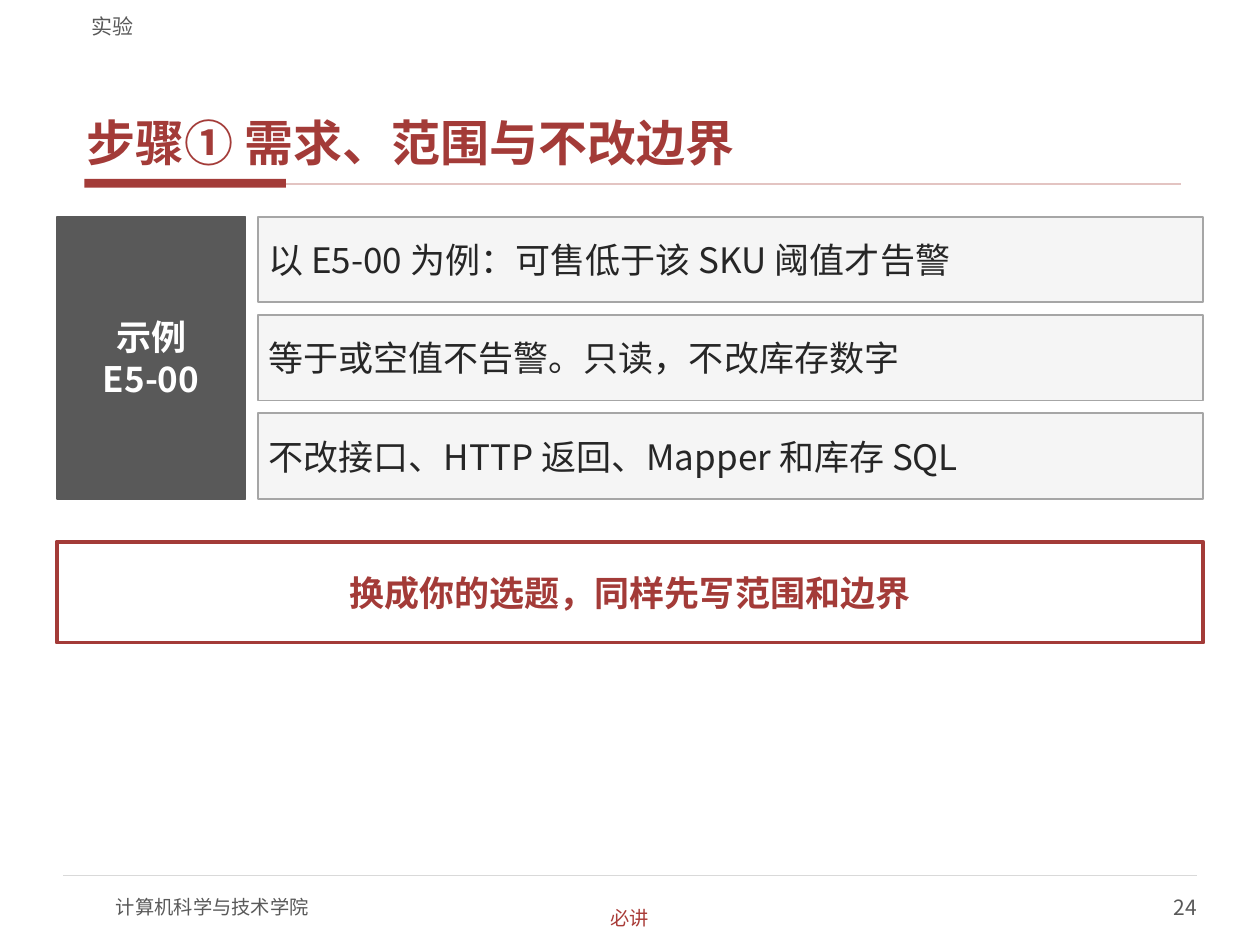
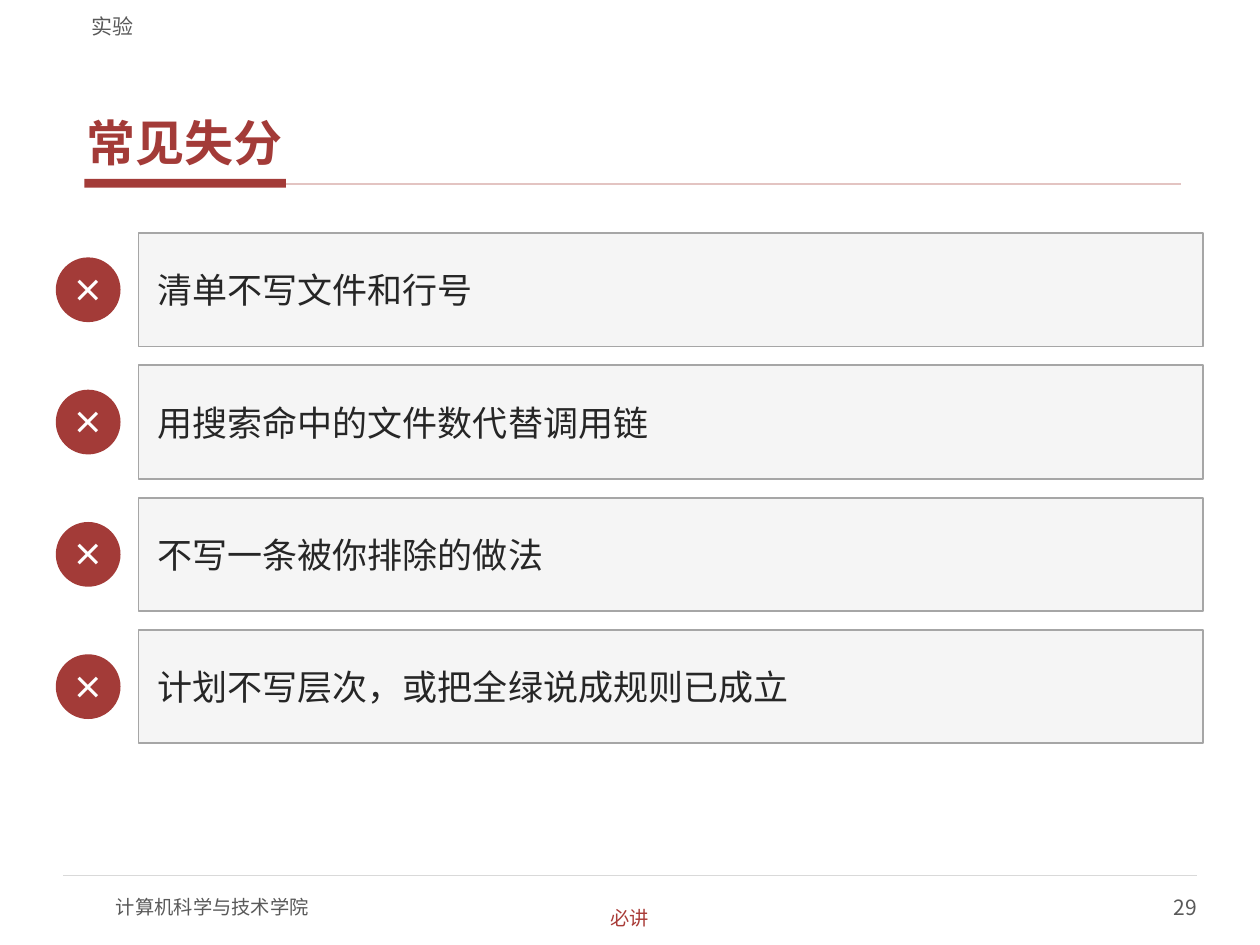
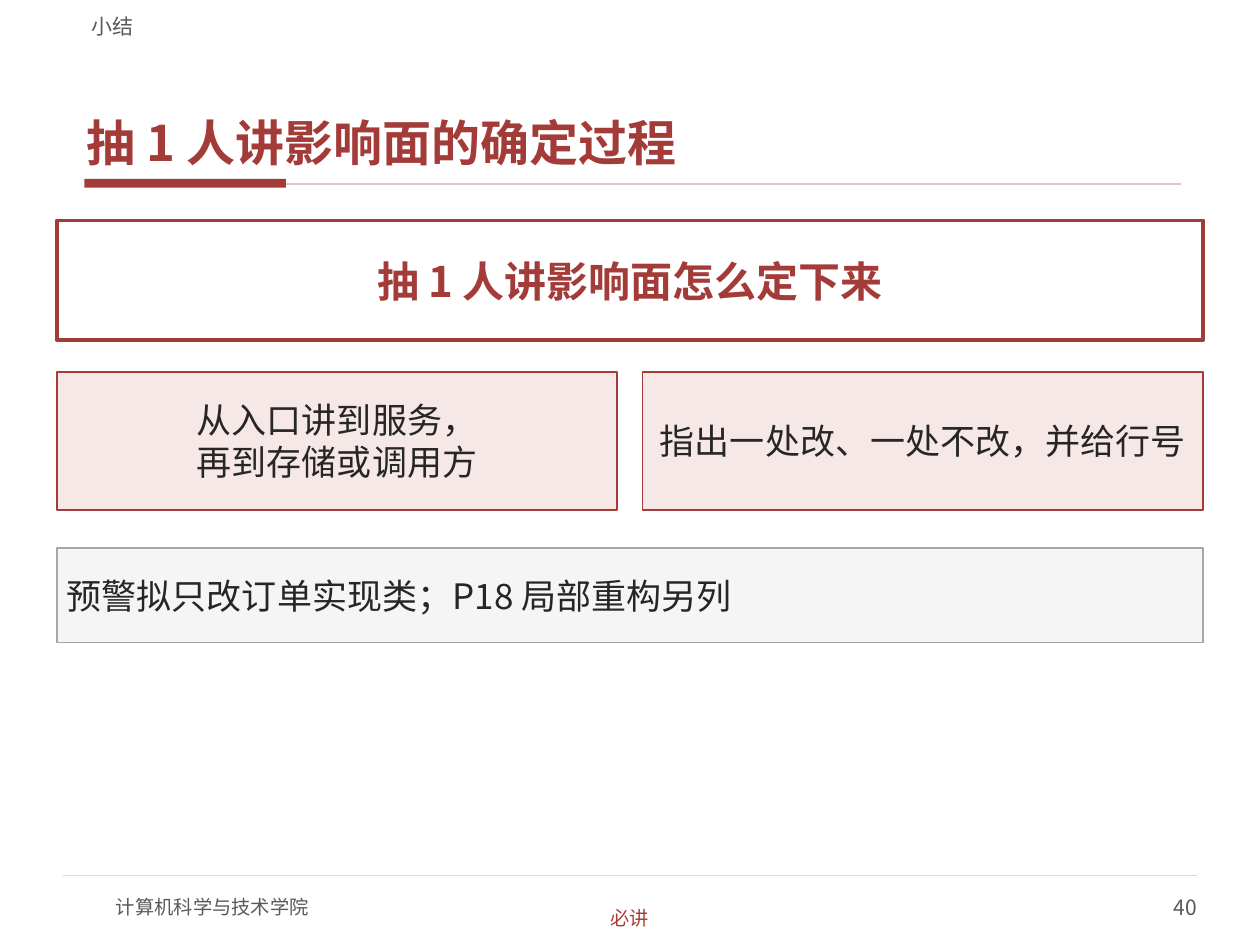
import pptx
import pptx.util
import pptx.dml.color
import pptx.enum.shapes
import pptx.enum.text
import pptx.oxml.ns
import lxml.etree

FONT = "Noto Sans CJK SC"
RED, ROSE, PINK = "A33B38", "E3C4C2", "F6E8E6"
TAG = "A93B37"
DARK, INK, GREY, PALE, RULE = "595959", "262626", "A6A6A6", "F5F5F5", "D9D9D9"
WHITE = "FFFFFF"
LEFT, WIDE = 0.45, 9.1
INSET = (0.08, 0.04)

Shape = pptx.enum.shapes.MSO_SHAPE
Align = pptx.enum.text.PP_ALIGN
Anchor = pptx.enum.text.MSO_ANCHOR
qn = pptx.oxml.ns.qn


def color(code):
    return pptx.dml.color.RGBColor.from_string(code)


def place(at):
    return [pptx.util.Inches(n) for n in at]


def write(shape, text, size, ink, bold=False, align=Align.LEFT,
          inset=(0, 0), anchor=Anchor.MIDDLE, wrap=True):
    frame = shape.text_frame
    frame.auto_size = pptx.enum.text.MSO_AUTO_SIZE.NONE
    frame.word_wrap = wrap
    frame.vertical_anchor = anchor
    frame.margin_left = frame.margin_right = pptx.util.Inches(inset[0])
    frame.margin_top = frame.margin_bottom = pptx.util.Inches(inset[1])
    para = frame.paragraphs[0]
    para.text = text
    para.alignment = align
    para.font.name = FONT
    para.font.size = pptx.util.Pt(size)
    para.font.bold = bold
    para.font.color.rgb = color(ink)
    props = para._p.pPr.find(qn("a:defRPr"))
    props.find(qn("a:latin")).addnext(
        props.makeelement(qn("a:ea"), {"typeface": FONT}))
    return para


def label(slide, at, text, size, ink, **style):
    write(slide.shapes.add_textbox(*place(at)), text, size, ink, **style)


def block(slide, at, fill, edge=None, weight=1, kind=Shape.RECTANGLE):
    shape = slide.shapes.add_shape(kind, *place(at))
    shape.shadow.inherit = False
    shape.fill.solid()
    shape.fill.fore_color.rgb = color(fill)
    if edge:
        shape.line.color.rgb = color(edge)
        shape.line.width = pptx.util.Pt(weight)
    else:
        shape.line.fill.background()
    return shape


def line(slide, left, right, top, ink, weight):
    rule = slide.shapes.add_connector(
        pptx.enum.shapes.MSO_CONNECTOR.STRAIGHT, *place((left, top, right, top)))
    rule.line.color.rgb = color(ink)
    rule.line.width = pptx.util.Pt(weight)
    lxml.etree.SubElement(rule._element.spPr, qn("a:effectLst"))


def card(slide, at, text, inset=INSET):
    write(block(slide, at, PALE, GREY), text, 20, INK, inset=inset)


def call(slide, top, high, text, size):
    write(block(slide, (LEFT, top, WIDE, high), WHITE, RED, 2.25), text, size, RED,
          bold=True, align=Align.CENTER, inset=INSET)


def base(deck, part, title, page):
    slide = deck.slides.add_slide(deck.slide_layouts[5])
    block(slide, (0.67, 1.42, 1.6, 0.07), RED)
    line(slide, 2.27, 9.37, 1.46, ROSE, 1)
    line(slide, 0.5, 9.5, 6.95, RULE, 0.75)
    label(slide, (0.92, 7, 4, 0.4), "计算机科学与技术学院", 11, DARK)
    label(slide, (7.5, 7, 2, 0.4), str(page), 12, DARK, align=Align.RIGHT)
    head = slide.shapes.title
    head.left, head.top, head.width, head.height = place((0.63, 0.33, 8.75, 1.05))
    para = write(head, title, 28, RED, bold=True, inset=(0.06, 0.02),
                 anchor=Anchor.BOTTOM)
    para.space_after = pptx.util.Pt(2)
    label(slide, (0.63, 0.04, 8.75, 0.27), part, 12, DARK,
          inset=(0.1, 0), anchor=Anchor.BOTTOM)
    label(slide, (4.4, 7.18, 1.2, 0.21), "必讲", 11, TAG,
          align=Align.CENTER, wrap=False)
    return slide


def scope(deck):
    slide = base(deck, "实验", "步骤① 需求、范围与不改边界", 24)
    rows = ["以 E5-00 为例：可售低于该 SKU 阈值才告警",
            "等于或空值不告警。只读，不改库存数字",
            "不改接口、HTTP 返回、Mapper 和库存 SQL"]
    top, high, gap = 1.72, 0.68, 0.1
    total = len(rows) * (high + gap) - gap
    write(block(slide, (LEFT, top, 1.5, total), DARK, DARK), "示例\nE5-00", 20, WHITE,
          bold=True, align=Align.CENTER, inset=INSET)
    for i, text in enumerate(rows):
        card(slide, (2.05, top + i * (high + gap), 7.5, high), text)
    call(slide, 4.3, 0.8, "换成你的选题，同样先写范围和边界", 20)


def faults(deck):
    slide = base(deck, "实验", "常见失分", 29)
    rows = ["清单不写文件和行号", "用搜索命中的文件数代替调用链",
            "不写一条被你排除的做法", "计划不写层次，或把全绿说成规则已成立"]
    high, disc = 0.9, 0.5
    for i, text in enumerate(rows):
        top = 1.85 + i * 1.05
        mark = block(slide, (LEFT, top + (high - disc) / 2, disc, disc), RED, RED,
                     kind=Shape.OVAL)
        write(mark, "×", 18, WHITE, bold=True, align=Align.CENTER)
        card(slide, (1.1, top, 8.45, high), text, (0.15, 0.07))


def recap(deck):
    slide = base(deck, "小结", "抽 1 人讲影响面的确定过程", 40)
    call(slide, 1.75, 0.95, "抽 1 人讲影响面怎么定下来", 24)
    tasks = ["从入口讲到服务，\n再到存储或调用方", "指出一处改、一处不改，并给行号"]
    gap = 0.2
    width = (WIDE - gap) / 2
    for i, text in enumerate(tasks):
        box = block(slide, (LEFT + i * (width + gap), 2.95, width, 1.1), PINK, RED)
        write(box, text, 20, INK, align=Align.CENTER, inset=INSET)
    card(slide, (LEFT, 4.35, WIDE, 0.75), "预警拟只改订单实现类；P18 局部重构另列")


def main():
    deck = pptx.Presentation()
    deck.slide_width, deck.slide_height = place((10, 7.5))
    scope(deck)
    faults(deck)
    recap(deck)
    deck.save("out.pptx")


if __name__ == "__main__":
    main()
